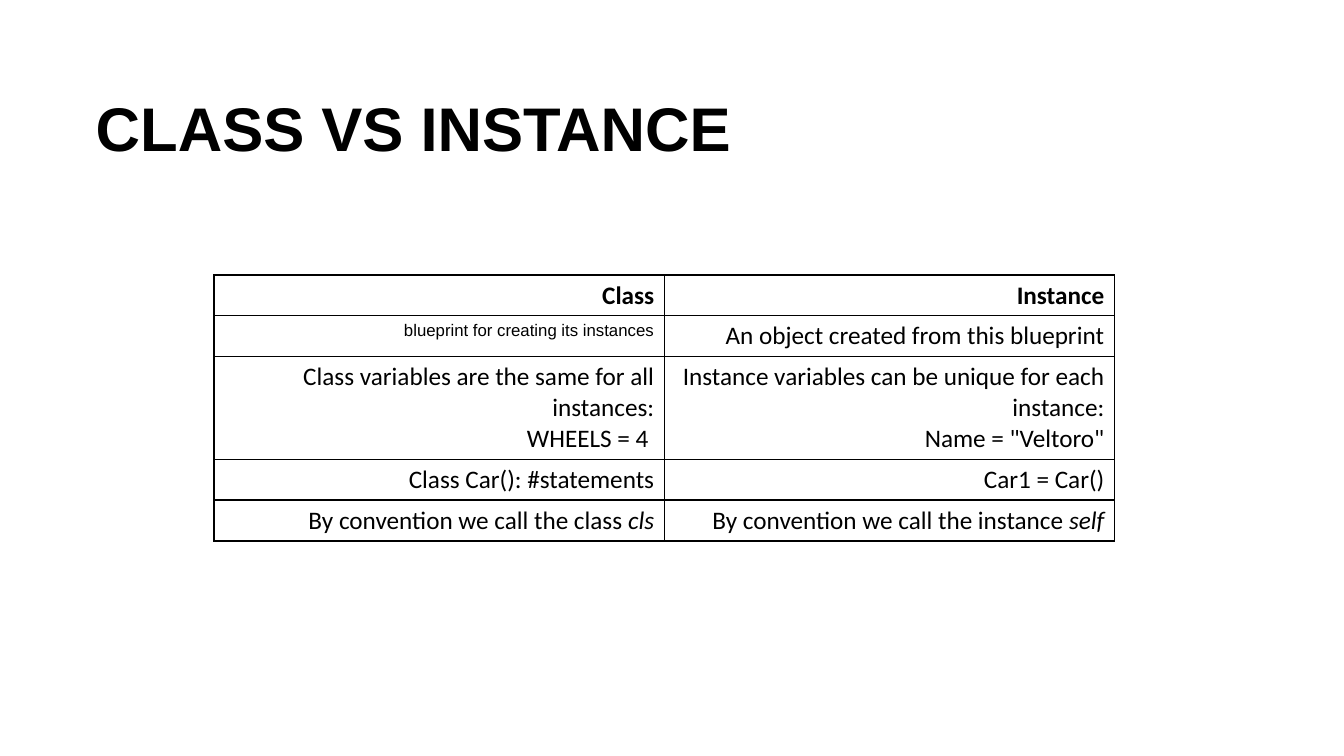
"""Build a slide with a table comparing a class with an instance."""
from lxml import etree
from pptx import Presentation
from pptx import util as u
from pptx.dml import color
from pptx.enum import text
from pptx.oxml import ns

COLORS = {"ink": "000000"}
INK = color.RGBColor.from_string(COLORS["ink"])
ROWS = [
    (["Class"], ["Instance"]),
    (["blueprint for creating its instances"], ["An object created from this blueprint"]),
    (["Class variables are the same for all instances:", "WHEELS = 4 "],
     ["Instance variables can be unique for each instance:", 'Name = "Veltoro"']),
    (["Class Car(): #statements"], ["Car1 = Car()"]),
    (["By convention we call the class |cls"], ["By convention we call the instance |self"]),
]
ROW_HEIGHTS = [29.2, 29.2, 73.2, 29.2, 29.2]
COLUMN_WIDTH = 321.6


def add_run(paragraph, words, size, font, bold=False, italic=False):
    run = paragraph.add_run()
    run.text = words
    run.font.size = u.Pt(size)
    run.font.name = font
    run.font.bold = bold
    run.font.italic = italic
    run.font.color.rgb = INK


def add_borders(cell):
    properties = cell._tc.get_or_add_tcPr()
    for index, side in enumerate(("lnL", "lnR", "lnT", "lnB")):
        line = etree.Element(ns.qn(f"a:{side}"), w=str(u.Pt(1)))
        fill = etree.SubElement(line, ns.qn("a:solidFill"))
        etree.SubElement(fill, ns.qn("a:srgbClr"), val=COLORS["ink"])
        properties.insert(index, line)


presentation = Presentation()
presentation.slide_width = u.Pt(960)
presentation.slide_height = u.Pt(540)
slide = presentation.slides.add_slide(presentation.slide_layouts[6])

title = slide.shapes.add_textbox(u.Pt(64.8), u.Pt(61.9), u.Pt(777.6), u.Pt(63.4))
frame = title.text_frame
frame.word_wrap = True
frame.vertical_anchor = text.MSO_ANCHOR.MIDDLE
frame.margin_left = frame.margin_right = frame.margin_top = frame.margin_bottom = u.Pt(3.6)
frame.paragraphs[0].line_spacing = 0.9
add_run(frame.paragraphs[0], "CLASS VS INSTANCE", 44, "Arial", bold=True)

table = slide.shapes.add_table(
    len(ROWS), 2, u.Pt(152.9), u.Pt(196.4), u.Pt(2 * COLUMN_WIDTH), u.Pt(sum(ROW_HEIGHTS))
).table
table.first_row = False
table.horz_banding = False
for column in table.columns:
    column.width = u.Pt(COLUMN_WIDTH)

for row_index, (row, height) in enumerate(zip(ROWS, ROW_HEIGHTS)):
    table.rows[row_index].height = u.Pt(height)
    for column_index, lines in enumerate(row):
        cell = table.cell(row_index, column_index)
        cell.fill.background()
        add_borders(cell)
        size, font = (12, "Arial") if (row_index, column_index) == (1, 0) else (18, "Calibri")
        for line_index, line in enumerate(lines):
            frame = cell.text_frame
            paragraph = frame.add_paragraph() if line_index else frame.paragraphs[0]
            paragraph.alignment = text.PP_ALIGN.RIGHT
            for part_index, words in enumerate(line.split("|")):
                add_run(paragraph, words, size, font, bold=row_index == 0, italic=part_index == 1)

presentation.save("out.pptx")
